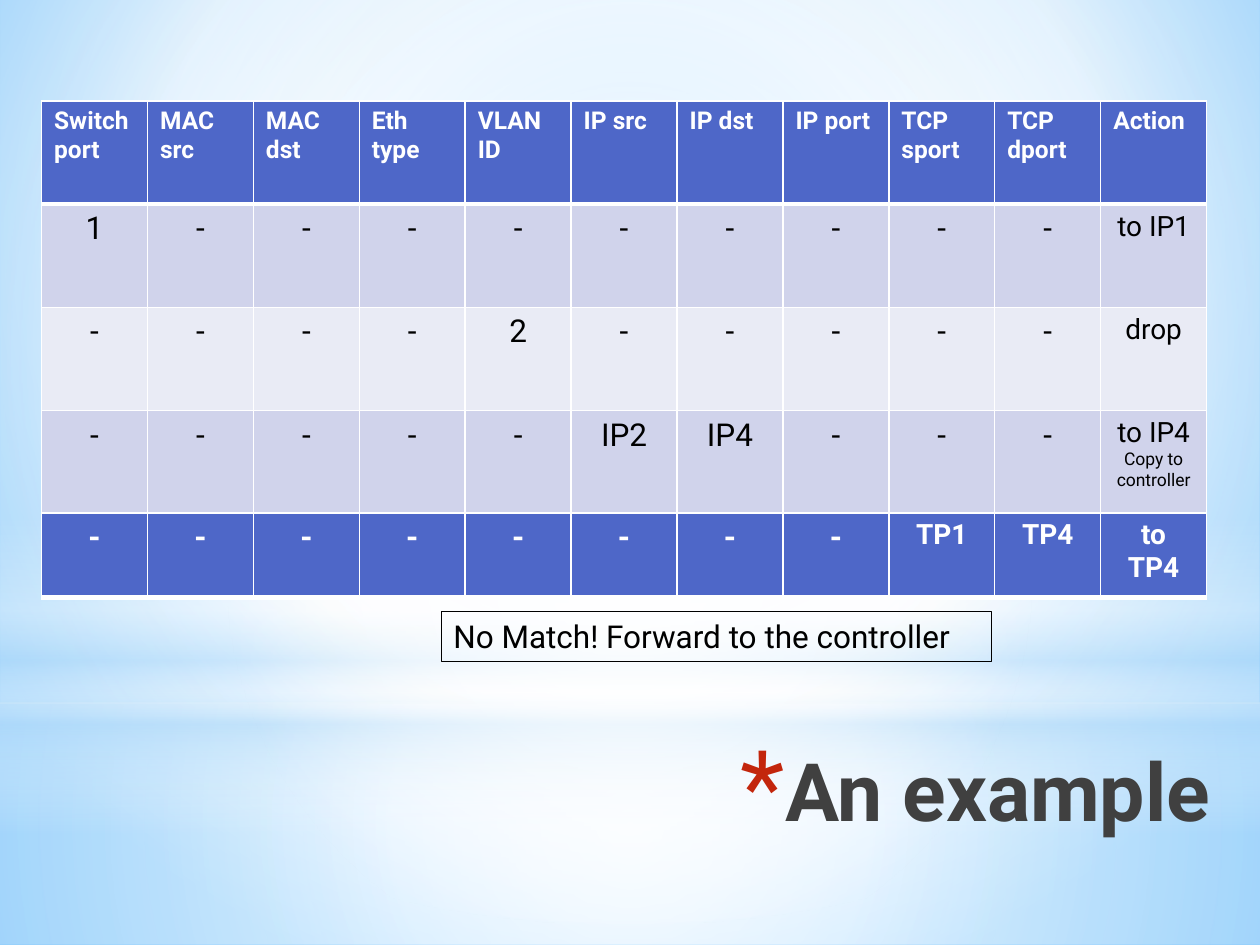
from lxml.etree import SubElement
from pptx import Presentation
from pptx.dml.color import RGBColor
from pptx.enum.shapes import MSO_SHAPE
from pptx.enum.text import MSO_ANCHOR, PP_ALIGN
from pptx.oxml import parse_xml
from pptx.oxml.ns import nsdecls, qn
from pptx.util import Inches, Pt

HUE = {
    "white": "FFFFFF", "black": "000000", "gray": "404040", "red": "C3260C",
    "blue": "4E67C8", "band": "D0D3EB", "pale": "E9EBF5",
    "sky": "B4DCFA", "light": "9ED5FF", "deep": "5BB9FF",
}


def write(frame, text, size=18, color="black", bold=False, align=PP_ALIGN.LEFT, small=10):
    """Fill a text frame; lines after the first take the small size."""
    frame.word_wrap = True
    for i, line in enumerate(text.split("\n")):
        para = frame.add_paragraph() if i else frame.paragraphs[0]
        para.alignment = align
        run = para.add_run()
        run.text = line
        run.font.name = "Roboto"
        run.font.size = Pt(small if i else size)
        run.font.bold = bold
        run.font.color.rgb = RGBColor.from_string(HUE[color])


def shade(root, stops, rect=None):
    """Swap the first solid fill for a gradient: round with rect, else downward."""
    fill = parse_xml(f'<a:gradFill {nsdecls("a")} rotWithShape="1"/>')
    group = SubElement(fill, qn("a:gsLst"))
    for pos, color, alpha in stops:
        stop = SubElement(group, qn("a:gs"), pos=str(pos * 1000))
        tint = SubElement(stop, qn("a:srgbClr"), val=HUE[color])
        SubElement(tint, qn("a:alpha"), val=str(alpha * 1000))
    if rect:
        path = SubElement(fill, qn("a:path"), path="circle")
        sides = {side: str(part * 1000) for side, part in zip("ltrb", rect)}
        SubElement(path, qn("a:fillToRect"), **sides)
    else:
        SubElement(fill, qn("a:lin"), ang="5400000", scaled="0")
    solid = root.find(".//" + qn("a:solidFill"))
    solid.getparent().replace(solid, fill)


deck = Presentation()
deck.slide_width, deck.slide_height = Inches(10), Inches(7.5)
slide = deck.slides.add_slide(deck.slide_layouts[6])

# Backdrop
slide.background.fill.solid()
slide.background.fill.fore_color.rgb = RGBColor.from_string(HUE["white"])
shade(slide.element, [(0, "light", 100), (60, "white", 100), (100, "deep", 100)],
      (20, 10, 20, 60))

mid = (50, 50, 50, 50)
glows = [
    (MSO_SHAPE.RECTANGLE, 5.58, 1.92, mid,
     [(0, "white", 91), (37, "white", 76), (100, "sky", 79)]),
    (MSO_SHAPE.RECTANGLE, 0, 5.58, mid,
     [(0, "white", 89), (48, "white", 62), (100, "sky", 79)]),
    (MSO_SHAPE.RECTANGLE, 4.12, 2.5, None,
     [(0, "white", 0), (29, "white", 30), (45, "sky", 40),
      (55, "white", 26), (65, "sky", 60), (100, "white", 0)]),
    (MSO_SHAPE.OVAL, 1.75, 5.58, mid, [(0, "white", 100), (56, "white", 0)]),
]
for kind, top, high, rect, stops in glows:
    glow = slide.shapes.add_shape(kind, 0, Inches(top), Inches(10), Inches(high))
    glow.shadow.inherit = False
    glow.line.fill.background()
    glow.fill.solid()
    glow.fill.fore_color.rgb = RGBColor.from_string(HUE["white"])
    shade(glow._element, stops, rect)

# Title with a red star bullet
title = slide.shapes.add_textbox(Inches(2.58), Inches(5.83), Inches(7.12), Inches(1.2))
title.text_frame.vertical_anchor = MSO_ANCHOR.TOP
write(title.text_frame, "An example", size=46, color="gray", bold=True, align=PP_ALIGN.RIGHT)
props = title.text_frame.paragraphs[0]._p.get_or_add_pPr()
props.set("marL", str(Inches(0.35)))
props.set("indent", str(-Inches(0.35)))
tint = SubElement(props, qn("a:buClr"))
SubElement(tint, qn("a:srgbClr"), val=HUE["red"])
SubElement(props, qn("a:buSzPct"), val="128000")
SubElement(props, qn("a:buFont"), typeface="Roboto")
SubElement(props, qn("a:buChar"), char="*")

# Flow tables: each row is its texts, fill, text format, top and bottom line widths
head = ["Switch port", "MAC src", "MAC dst", "Eth type", "VLAN ID", "IP src",
        "IP dst", "IP port", "TCP sport", "TCP dport", "Action"]
plain = dict(align=PP_ALIGN.CENTER)
strong = dict(align=PP_ALIGN.CENTER, color="white", bold=True)
flows = [
    (head, "blue", dict(size=14, color="white", bold=True), 1, 3),
    (["1"] + ["-"] * 9 + ["to IP1"], "band", plain, 3, 1),
    (["-"] * 4 + ["2"] + ["-"] * 5 + ["drop"], "pale", plain, 1, 1),
    (["-"] * 5 + ["IP2", "IP4"] + ["-"] * 3 + ["to IP4\nCopy to controller"],
     "band", plain, 1, 1),
]
last = [(["-"] * 8 + ["TP1", "TP4", "to TP4"], "blue", strong, 1, 3)]

for top, high, rows in [(0.8, 0.82, flows), (4.07, 0.67, last)]:
    table = slide.shapes.add_table(len(rows), len(head), Inches(0.33), Inches(top),
                                   Inches(9.25), Inches(high * len(rows))).table
    table.first_row = table.horz_banding = False
    for col in table.columns:
        col.width = Inches(9.25 / len(head))
    for r, (texts, fill, form, above, below) in enumerate(rows):
        table.rows[r].height = Inches(high)
        for c, text in enumerate(texts):
            cell = table.cell(r, c)
            slim = text.startswith(("to", "drop", "TP"))
            write(cell.text_frame, text, **{"size": 16 if slim else 18, **form})
            edge = cell._tc.get_or_add_tcPr()
            for side, width in zip("LRTB", (1, 1, above, below)):
                line = SubElement(edge, qn("a:ln" + side), w=str(Pt(width)))
                paint = SubElement(line, qn("a:solidFill"))
                SubElement(paint, qn("a:srgbClr"), val=HUE["white"])
            cell.fill.solid()
            cell.fill.fore_color.rgb = RGBColor.from_string(HUE[fill])

# Note under the tables
note = slide.shapes.add_textbox(Inches(3.5), Inches(4.85), Inches(4.37), Inches(0.4))
note.line.color.rgb = RGBColor.from_string(HUE["black"])
note.line.width = Pt(0.5)
write(note.text_frame, "No Match! Forward to the controller")

deck.save("out.pptx")
